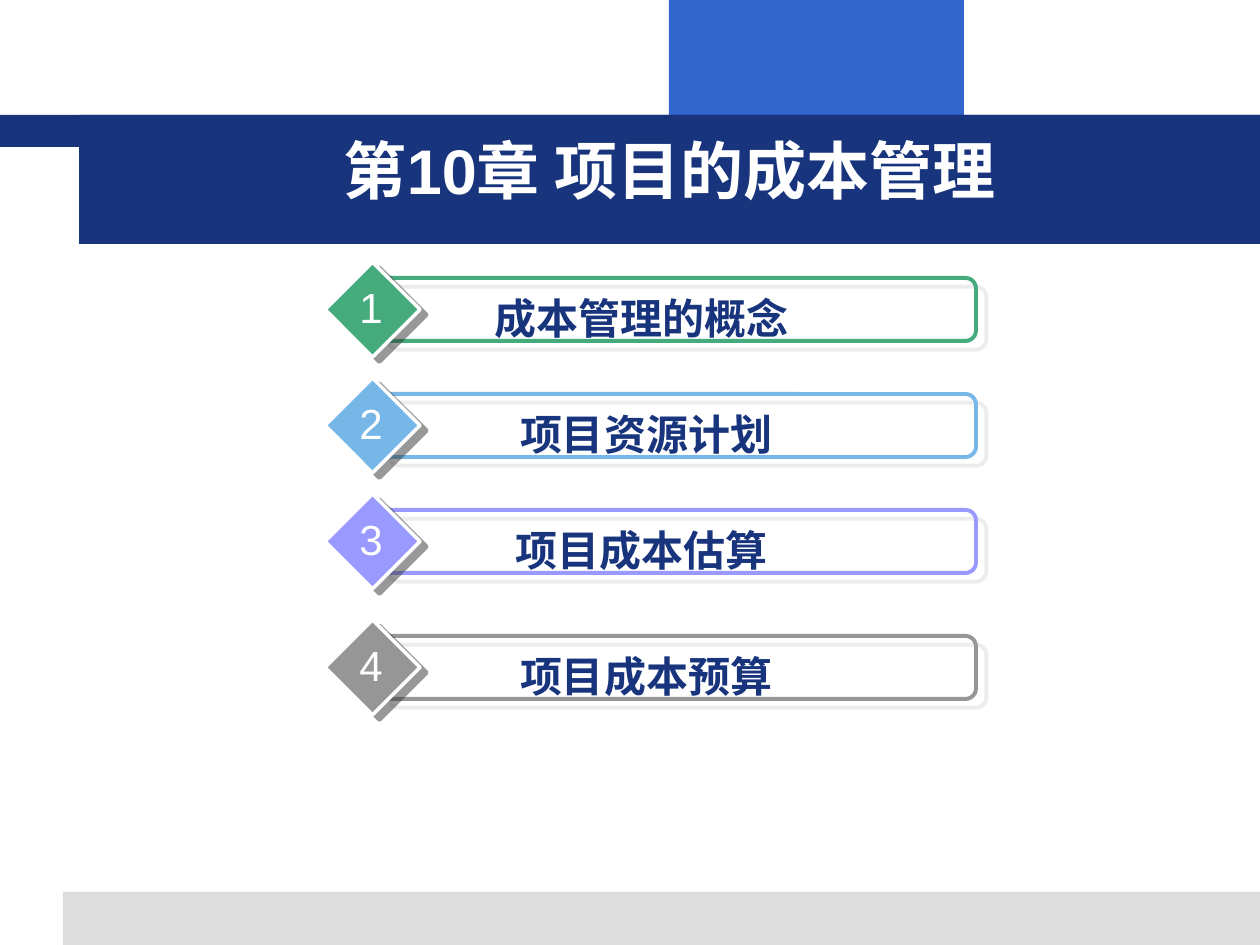
from dataclasses import dataclass

from lxml.etree import SubElement
from pptx import Presentation
from pptx.dml.color import RGBColor
from pptx.enum.shapes import MSO_SHAPE
from pptx.enum.text import PP_ALIGN
from pptx.oxml.ns import qn
from pptx.shapes.autoshape import Shape
from pptx.util import Emu, Pt

PX_PER_INCH = 126
NAVY, WHITE = "17347D", "FFFFFF"


@dataclass(frozen=True)
class Box:
    left: int
    top: int
    width: int
    height: int

    def emu(self) -> list[Emu]:
        return [px(n) for n in (self.left, self.top, self.width, self.height)]


@dataclass(frozen=True)
class Shadow:
    color: str
    distance: float
    angle: int


@dataclass(frozen=True)
class Topic:
    top: int
    color: str
    label: str


BAR_SHADOW = Shadow("DDDDDD", 7.8, 40)
DIAMOND_SHADOW = Shadow("333333", 5, 37)
BANDS = [
    (Box(669, 0, 295, 116), "3366CC"),
    (Box(63, 892, 1197, 53), "DDDDDD"),
    (Box(0, 115, 1260, 32), NAVY),
    (Box(79, 115, 1181, 129), NAVY),
]
TOPICS = [
    Topic(278, "45AB7D", "成本管理的概念 "),
    Topic(394, "77B7E7", "项目资源计划"),
    Topic(510, "9999FF", "项目成本估算 "),
    Topic(636, "969696", "项目成本预算"),
]


def px(length: int) -> Emu:
    return Emu(round(length * 914400 / PX_PER_INCH))


def rgb(color: str) -> RGBColor:
    return RGBColor.from_string(color)


def add_shadow(shape: Shape, shadow: Shadow) -> None:
    effects = shape._element.spPr.find(qn("a:effectLst"))
    outer = SubElement(effects, qn("a:outerShdw"), blurRad="0",
                       dist=str(Pt(shadow.distance)),
                       dir=str(shadow.angle * 60000), algn="ctr",
                       rotWithShape="0")
    tint = SubElement(outer, qn("a:srgbClr"), val=shadow.color)
    SubElement(tint, qn("a:alpha"), val="50000")


def draw_shape(shapes, kind: MSO_SHAPE, box: Box, *, fill: str | None = None,
               line: str | None = None, weight: float = 0,
               shadow: Shadow | None = None) -> Shape:
    shape = shapes.add_shape(kind, *box.emu())
    shape.shadow.inherit = False
    if fill:
        shape.fill.solid()
        shape.fill.fore_color.rgb = rgb(fill)
    else:
        shape.fill.background()
    if line:
        shape.line.color.rgb = rgb(line)
        shape.line.width = Pt(weight)
    else:
        shape.line.fill.background()
    if shadow:
        add_shadow(shape, shadow)
    return shape


def write(shapes, text: str, box: Box, *, size: int, color: str,
          bold: bool = False, wrap: bool = True) -> None:
    frame = shapes.add_textbox(*box.emu()).text_frame
    frame.word_wrap = wrap
    paragraph = frame.paragraphs[0]
    paragraph.alignment = PP_ALIGN.CENTER
    run = paragraph.add_run()
    run.text = text
    run.font.name = "Arial"
    run.font.size = Pt(size)
    run.font.bold = bold
    run.font.color.rgb = rgb(color)


def draw_topic(shapes, number: int, topic: Topic) -> None:
    row = shapes.add_group_shape().shapes
    draw_shape(row, MSO_SHAPE.ROUNDED_RECTANGLE, Box(378, topic.top, 598, 63),
               line=topic.color, weight=2.25, shadow=BAR_SHADOW)
    draw_shape(row, MSO_SHAPE.DIAMOND, Box(325, topic.top - 16, 95, 95),
               fill=topic.color, line=WHITE, weight=2, shadow=DIAMOND_SHADOW)
    write(row, topic.label, Box(410, topic.top + 8, 472, 63),
          size=24, color=NAVY, bold=True)
    write(row, str(number), Box(347, topic.top - 3, 48, 63),
          size=24, color=WHITE, wrap=False)


def main() -> None:
    """Build the chapter contents slide and save it."""
    deck = Presentation()
    deck.slide_width, deck.slide_height = px(1260), px(945)
    shapes = deck.slides.add_slide(deck.slide_layouts[6]).shapes
    for box, color in BANDS:
        draw_shape(shapes, MSO_SHAPE.RECTANGLE, box, fill=color)
    for number, topic in enumerate(TOPICS, start=1):
        draw_topic(shapes, number, topic)
    write(shapes, "第10章 项目的成本管理", Box(223, 125, 893, 88),
          size=36, color=WHITE, bold=True)
    deck.save("out.pptx")


if __name__ == "__main__":
    main()
